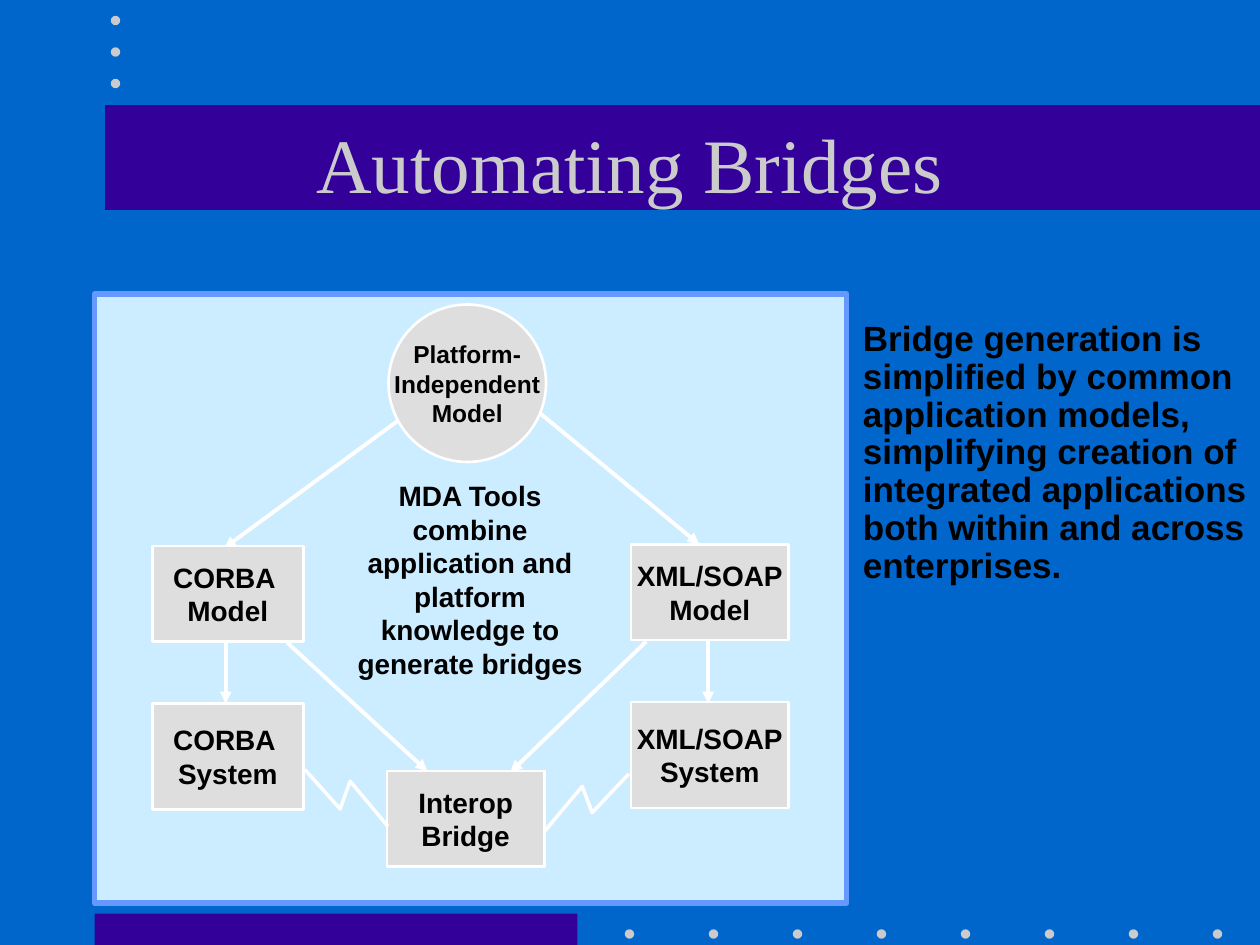
import pptx
import pptx.util
import pptx.dml.color
import pptx.enum.shapes
import pptx.enum.text
import pptx.oxml.ns
import lxml.etree

COLS, ROWS = 120, 90
BLUE, INDIGO, GREY = "0066CC", "330099", "CBCBCB"
PALE, EDGE, BOX = "CCECFF", "6699FF", "DEDEDE"
WHITE, BLACK = "FFFFFF", "000000"
RECT = pptx.enum.shapes.MSO_SHAPE.RECTANGLE
OVAL = pptx.enum.shapes.MSO_SHAPE.OVAL
LEFT = pptx.enum.text.PP_ALIGN.LEFT
MID = pptx.enum.text.PP_ALIGN.CENTER


def color(code):
    return pptx.dml.color.RGBColor.from_string(code)


class Page:
    """Draws on one slide; lengths are columns and rows of its grid."""

    def __init__(self, deck):
        self.slide = deck.slides.add_slide(deck.slide_layouts[6])
        self.shapes = self.slide.shapes
        self.col = deck.slide_width / COLS
        self.row = deck.slide_height / ROWS
        back = self.slide.background.fill
        back.solid()
        back.fore_color.rgb = color(BLUE)

    def place(self, *cells):
        """Turn alternating columns and rows into slide units."""
        return [round(cell * (self.row if i % 2 else self.col))
                for i, cell in enumerate(cells)]

    def letter(self, frame, text, size, font="Arial", ink=BLACK, bold=True, align=MID):
        """Fill a text frame and style its runs."""
        frame.text = text
        for para in frame.paragraphs:
            para.alignment = align
            for run in para.runs:
                run.font.name = font
                run.font.size = pptx.util.Pt(size)
                run.font.bold = bold
                run.font.color.rgb = color(ink)

    def stroke(self, item, ink, width):
        item.line.color.rgb = color(ink)
        item.line.width = pptx.util.Pt(width)

    def shape(self, kind, cells, fill, edge=None, width=0):
        item = self.shapes.add_shape(kind, *self.place(*cells))
        item.shadow.inherit = False
        item.fill.solid()
        item.fill.fore_color.rgb = color(fill)
        if edge:
            self.stroke(item, edge, width)
        else:
            item.line.fill.background()
        return item

    def node(self, text, cells, kind=RECT, size=16):
        frame = self.shape(kind, cells, BOX, WHITE, 1.5).text_frame
        frame.word_wrap = False
        frame.vertical_anchor = pptx.enum.text.MSO_ANCHOR.MIDDLE
        self.letter(frame, text, size)

    def label(self, text, cells, size, **style):
        frame = self.shapes.add_textbox(*self.place(*cells)).text_frame
        frame.word_wrap = True
        self.letter(frame, text, size, **style)
        return frame

    def arrow(self, *ends):
        line = self.shapes.add_connector(
            pptx.enum.shapes.MSO_CONNECTOR.STRAIGHT, *self.place(*ends))
        self.stroke(line, WHITE, 2.25)
        tag = pptx.oxml.ns.qn
        props = line._element.spPr
        lxml.etree.SubElement(props.find(tag("a:ln")), tag("a:tailEnd"), type="triangle")
        lxml.etree.SubElement(props, tag("a:effectLst"))

    def bolt(self, *points):
        """Draw an open zigzag through the points."""
        spots = [self.place(*point) for point in points]
        trace = self.shapes.build_freeform(*spots[0])
        trace.add_line_segments(spots[1:], close=False)
        item = trace.convert_to_shape()
        item.shadow.inherit = False
        item.fill.background()
        self.stroke(item, WHITE, 2)

    def dots(self, count, left, top, across=0, down=0):
        for i in range(count):
            self.shape(OVAL, (left + i * across, top + i * down, 0.9, 0.9), GREY)


def main():
    deck = pptx.Presentation()
    deck.slide_width = pptx.util.Inches(10)
    deck.slide_height = pptx.util.Inches(7.5)
    page = Page(deck)

    page.shape(RECT, (9, 87, 46, 3), INDIGO)
    page.dots(8, 59.5, 88.5, across=8)
    page.shape(RECT, (10, 10, 110, 10), INDIGO)
    page.dots(3, 10.55, 1.5, down=3)
    title = page.label("Automating Bridges", (9, 8, 102, 15), 44,
                       font="Times New Roman", ink=GREY, bold=False)
    title.vertical_anchor = pptx.enum.text.MSO_ANCHOR.MIDDLE

    page.shape(RECT, (9, 28, 71.64, 58), PALE, EDGE, 3)
    for ends in [(38, 40, 21.35, 52.2), (51, 39, 66.6, 51.85)]:
        page.arrow(*ends)
    page.node("Platform-\vIndependent\nModel", (37, 29, 15, 15), OVAL, 14)
    for name, left, top, wide in [("CORBA ", 14.5, 52, 14.4),
                                  ("XML/SOAP", 60.1, 51.85, 15)]:
        page.node(name + "\vModel", (left, top, wide, 9.1))
        page.node(name + "\vSystem", (left, top + 15, wide, 10.1))
    page.node("Interop\nBridge", (36.85, 73.45, 15, 9.1))
    for ends in [(21.5, 61, 21.5, 67), (67.45, 61, 67.45, 67),
                 (61.55, 61.1, 48.6, 73.55), (27.35, 61.2, 40.7, 73.45)]:
        page.arrow(*ends)
    page.bolt((29.05, 73.3), (32.4, 77.05), (33.35, 74.4), (36.95, 78.7))
    page.bolt((59.9, 73.7), (56.4, 77.4), (55.45, 74.9), (51.85, 79.2))

    page.label("MDA Tools combine application and platform knowledge to "
               "generate bridges", (32, 45, 25.55, 20.4), 16)
    note = page.label("Bridge generation is simplified by common application models, "
                      "simplifying creation of integrated applications both within "
                      "and across enterprises.", (81, 30, 39, 26.4), 20, align=LEFT)
    note.paragraphs[0].line_spacing = 0.9

    deck.save("out.pptx")


if __name__ == "__main__":
    main()
